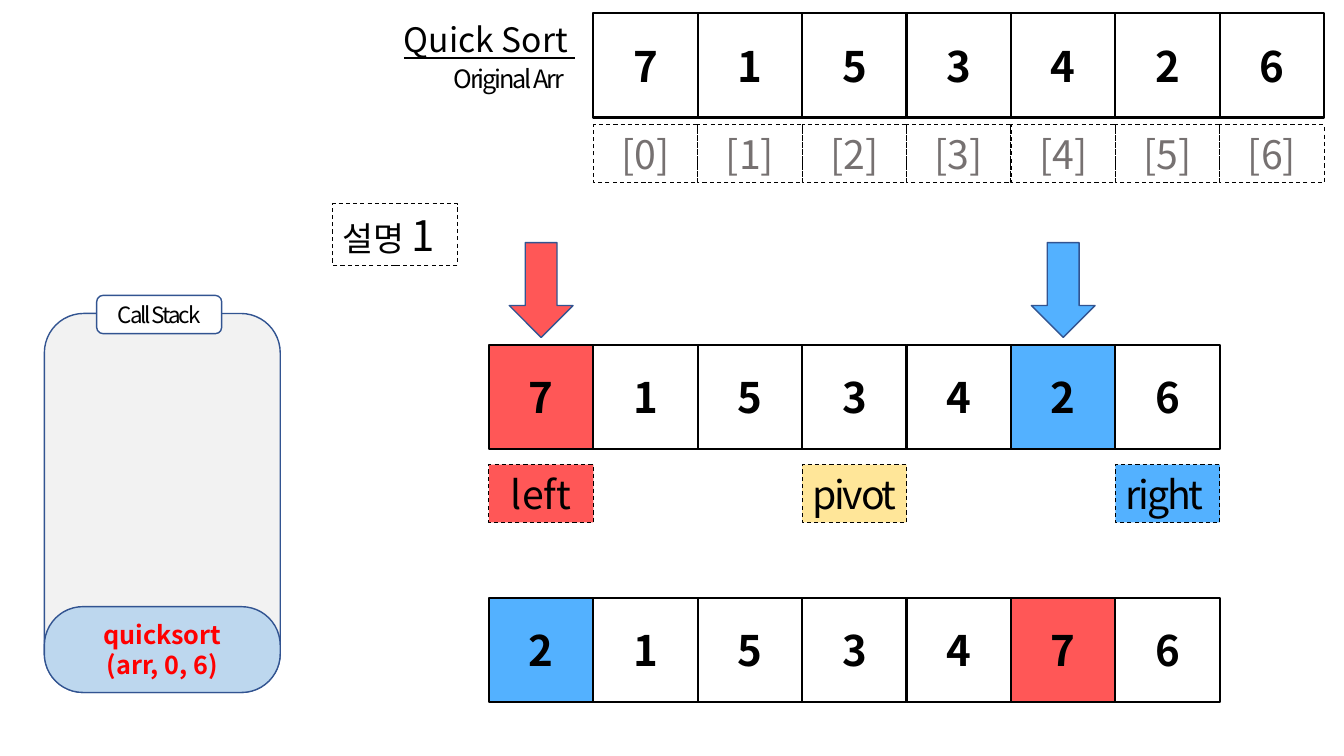
from dataclasses import dataclass
from lxml import etree
from pptx import Presentation
from pptx.dml.color import RGBColor
from pptx.enum.dml import MSO_LINE
from pptx.enum.shapes import MSO_SHAPE
from pptx.enum.text import MSO_ANCHOR, PP_ALIGN
from pptx.oxml.ns import qn
from pptx.util import Inches, Pt

RECT, ROUND, DOWN = (MSO_SHAPE.RECTANGLE, MSO_SHAPE.ROUNDED_RECTANGLE,
                     MSO_SHAPE.DOWN_ARROW)
LEFT, MID, RIGHT = PP_ALIGN.LEFT, PP_ALIGN.CENTER, PP_ALIGN.RIGHT
CENTER, DASH = MSO_ANCHOR.MIDDLE, MSO_LINE.DASH


@dataclass(frozen=True)
class Theme:
    """Colours, font, type sizes and line widths."""
    font: str = "Noto Sans CJK KR"
    ink: str = "000000"
    paper: str = "FFFFFF"
    red: str = "FF5757"
    blue: str = "53B1FF"
    gold: str = "FFE699"
    gray: str = "767171"
    edge: str = "325491"
    pale: str = "F2F2F2"
    sky: str = "BDD7EE"
    alert: str = "FF0000"
    value: int = 30
    tag: int = 28
    title: int = 24
    small: int = 18
    label: int = 16
    tight: float = -1.5
    thick: float = 1.5
    line: float = 1
    thin: float = 0.75


T = Theme()
WIDE, HIGH = Inches(13.333), Inches(7.5)
COLS = 7

# Boxes are left, top, width and height in percent of the slide.
BAND, SPAN, CELL = 36.38, 54.38, 13.81
STEP = SPAN / COLS


def part(box, x, y, w, h):
    """Give the box that takes these percents of an outer box."""
    left, top, wide, high = box
    return (left + wide * x / 100, top + high * y / 100,
            wide * w / 100, high * h / 100)


def slot(box, col):
    """Give one column of a box."""
    return part(box, 100 * col / COLS, 0, 100 / COLS, 100)


def place(box):
    """Turn slide percents into lengths."""
    x, y, w, h = box
    return [int(n) for n in (WIDE * x / 100, HIGH * y / 100,
                             WIDE * w / 100, HIGH * h / 100)]


def style(run, size, color=T.ink, bold=False, under=False, gap=0):
    """Format one run."""
    font = run.font
    font.name, font.size, font.bold = T.font, Pt(size), bold
    font.underline = under
    font.color.rgb = RGBColor.from_string(color)
    props = run._r.get_or_add_rPr()
    etree.SubElement(props, qn("a:ea")).set("typeface", T.font)
    if gap:
        props.set("spc", str(int(gap * 100)))


def write(shape, text, size, align=MID, **look):
    """Put formatted text in a shape."""
    frame = shape.text_frame
    frame.text = text
    frame.word_wrap = align != MID
    frame.vertical_anchor = CENTER
    for para in frame.paragraphs:
        para.alignment = align
        for run in para.runs:
            style(run, size, **look)


def draw(shapes, kind, box, fill=None, edge=T.ink, width=T.line, dash=None):
    """Add one preset shape."""
    shape = shapes.add_shape(kind, *place(box))
    shape.shadow.inherit = False
    if fill:
        shape.fill.solid()
        shape.fill.fore_color.rgb = RGBColor.from_string(fill)
    else:
        shape.fill.background()
    shape.line.color.rgb = RGBColor.from_string(edge)
    shape.line.width = Pt(width)
    if dash:
        shape.line.dash_style = dash
    return shape


def heading(slide, box):
    """Title and subtitle beside the first array."""
    title = slide.shapes.add_textbox(*place(part(box, 0, 0, 100, 60)))
    write(title, "Quick Sort ", T.title, LEFT, under=True)
    sub = slide.shapes.add_textbox(*place(part(box, 19, 52, 75, 48)))
    write(sub, "Original Arr", T.small, RIGHT, gap=T.tight)


def array(slide, box, values, marks):
    """Row of value cells; marks maps a column to its fill."""
    shapes = slide.shapes.add_group_shape().shapes
    for col, value in enumerate(values):
        cell = draw(shapes, RECT, slot(box, col), marks.get(col, T.paper),
                    width=T.thick)
        write(cell, str(value), T.value, bold=True)


def index(slide, box):
    """Row of dashed index cells."""
    shapes = slide.shapes.add_group_shape().shapes
    for col in range(COLS):
        cell = draw(shapes, RECT, slot(box, col), width=T.thin, dash=DASH)
        write(cell, f"[{col}]", T.tag, color=T.gray)


def tags(slide, box):
    """Names under the columns they refer to."""
    for col, name, fill, align, gap in (
            (0, "left", T.red, MID, 0),
            (3, "pivot", T.gold, MID, T.tight),
            (6, "right", T.blue, LEFT, T.tight)):
        tag = draw(slide.shapes, RECT, slot(box, col), fill,
                   width=T.thin, dash=DASH)
        write(tag, name, T.tag, align, gap=gap)


def arrows(slide, box, marks):
    """Arrows centred above the marked columns."""
    for col, fill in marks.items():
        draw(slide.shapes, DOWN, part(slot(box, col), 19.5, 0, 61, 100),
             fill, T.edge)


def note(slide, box):
    """Step label in two type sizes."""
    shape = draw(slide.shapes, RECT, box, width=T.thin, dash=DASH)
    write(shape, "설명 ", T.title, LEFT)
    step = shape.text_frame.paragraphs[0].add_run()
    step.text = "1"
    style(step, T.value)


def stack(slide, box):
    """Call stack with its label and one call."""
    shapes = slide.shapes.add_group_shape().shapes
    draw(shapes, ROUND, part(box, 0, 4.57, 100, 95.43), T.pale, T.edge)
    label = draw(shapes, ROUND, part(box, 22.2, 0, 53, 9.64),
                 T.paper, T.edge)
    write(label, "Call Stack", T.label, gap=T.tight)
    call = draw(shapes, ROUND, part(box, 0, 78.4, 100, 21.6), T.sky, T.edge)
    call.adjustments[0] = 0.45
    write(call, "quicksort\n(arr, 0, 6)", T.small, color=T.alert, bold=True)


def main():
    """Build the slide."""
    deck = Presentation()
    deck.slide_width, deck.slide_height = WIDE, HIGH
    slide = deck.slides.add_slide(deck.slide_layouts[6])
    first, swap = [7, 1, 5, 3, 4, 2, 6], [2, 1, 5, 3, 4, 7, 6]
    marks = {0: T.red, 5: T.blue}

    heading(slide, (29.32, 1.87, 14.25, 11.2))
    array(slide, (BAND + STEP, 1.73, SPAN, CELL), first, {})
    index(slide, (BAND + STEP, 16.53, SPAN, 7.65))
    note(slide, (24.75, 26.93, 9.3, 8.13))
    arrows(slide, (BAND, 32.1, SPAN, 12.53), marks)
    array(slide, (BAND, 45.6, SPAN, CELL), first, marks)
    tags(slide, (BAND, 61.47, SPAN, 7.65))
    array(slide, (BAND, 79.07, SPAN, CELL), swap, {0: T.blue, 5: T.red})
    stack(slide, (3.3, 39.07, 17.55, 52.53))
    deck.save("out.pptx")


main()
